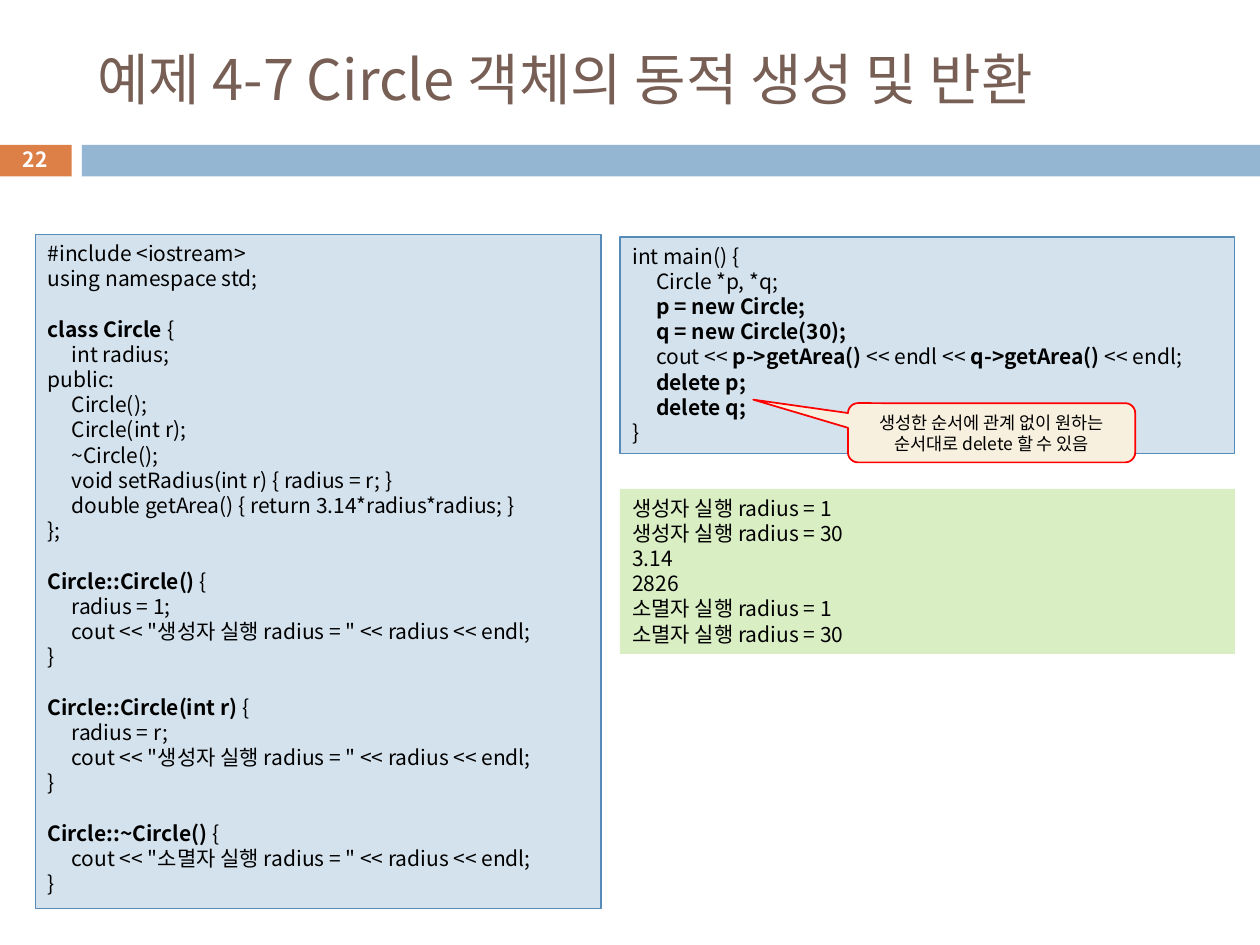
"""Build the slide on creating and deleting Circle objects dynamically."""

from dataclasses import dataclass
from typing import Optional

import lxml.etree
import pptx
import pptx.dml.color
import pptx.enum.shapes
import pptx.enum.text
import pptx.oxml.ns
import pptx.util

RGB = pptx.dml.color.RGBColor
SHAPE = pptx.enum.shapes.MSO_SHAPE
ALIGN = pptx.enum.text.PP_ALIGN
ANCHOR = pptx.enum.text.MSO_ANCHOR

BLACK = RGB(0x00, 0x00, 0x00)
WHITE = RGB(0xFF, 0xFF, 0xFF)
BROWN = RGB(0x77, 0x5F, 0x55)
ORANGE = RGB(0xDD, 0x80, 0x47)
BLUE = RGB(0x94, 0xB6, 0xD2)
PALE_BLUE = RGB(0xD4, 0xE2, 0xED)
EDGE_BLUE = RGB(0x55, 0x8B, 0xB8)
GREEN = RGB(0xDA, 0xEE, 0xC4)
CREAM = RGB(0xF7, 0xF0, 0xDE)
RED = RGB(0xFF, 0x00, 0x00)

FONT = "Noto Sans CJK KR"
CELL = pptx.util.Inches(0.1)
COLS, ROWS = 100, 75
RIGHT_COL, RIGHT_WIDTH = 49.2, 48.8
TAB = pptx.util.Inches(0.19)
LEADING = 1.2

CLASS_CODE = """#include <iostream>
using namespace std;

**class Circle **{
\tint radius;
public:
\tCircle();
\tCircle(int r);
\t~Circle();
\tvoid setRadius(int r) { radius = r; }
\tdouble getArea() { return 3.14*radius*radius; }
};

**Circle::Circle() **{
\tradius = 1;
\tcout << "생성자 실행 radius = " << radius << endl;
}

**Circle::Circle(int r) **{
\tradius = r;
\tcout << "생성자 실행 radius = " << radius << endl;
}

**Circle::~Circle() **{
\tcout << "소멸자 실행 radius = " << radius << endl;
}"""

MAIN_CODE = """int main() {
\tCircle *p, *q;
\t**p = new Circle;**
\t**q = new Circle(30);**
\tcout << **p->getArea() **<< endl << **q->getArea() **<< endl;
\t**delete p;**
\t**delete q;**
}"""

OUTPUT = """생성자 실행 radius = 1
생성자 실행 radius = 30
3.14
2826
소멸자 실행 radius = 1
소멸자 실행 radius = 30"""


@dataclass(frozen=True)
class Box:
    """Place of an object in grid columns and rows."""

    col: float
    row: float
    width: float
    height: float

    def emu(self) -> tuple:
        """Return left, top, width and height as lengths."""
        return tuple(int(v * CELL) for v in (self.col, self.row, self.width, self.height))


@dataclass(frozen=True)
class Panel:
    """Filled shape, with an optional outline and text."""

    box: Box
    fill: RGB
    text: str = ""
    line: Optional[RGB] = None
    line_width: float = 0.75
    kind: int = SHAPE.RECTANGLE
    adjustments: tuple = ()
    size: float = 12
    align: int = ALIGN.LEFT
    anchor: int = ANCHOR.TOP


PANELS = (
    Panel(Box(0, 11.5, 5.7, 2.5), ORANGE),
    Panel(Box(6.5, 11.5, 93.5, 2.5), BLUE),
    Panel(Box(2.8, 18.6, 44.9, 53.5), PALE_BLUE, CLASS_CODE, EDGE_BLUE),
    Panel(Box(RIGHT_COL, 18.8, RIGHT_WIDTH, 17.2), PALE_BLUE, MAIN_CODE, EDGE_BLUE),
    Panel(Box(RIGHT_COL, 38.8, RIGHT_WIDTH, 13.1), GREEN, OUTPUT),
    Panel(Box(67.3, 32, 22.8, 4.7), CREAM,
          "생성한 순서에 관계 없이 원하는 순서대로 delete 할 수 있음",
          RED, 1, SHAPE.ROUNDED_RECTANGULAR_CALLOUT, (-0.83, -0.56, 0.17),
          10, ALIGN.CENTER, ANCHOR.MIDDLE),
)


def add_tab_stop(p) -> None:
    """Give a paragraph the tab stop of the code indent."""
    tabs = lxml.etree.SubElement(p._p.get_or_add_pPr(), pptx.oxml.ns.qn("a:tabLst"))
    lxml.etree.SubElement(tabs, pptx.oxml.ns.qn("a:tab"), pos=str(TAB), algn="l")


def write(sp, text: str, *, size: float, color: RGB = BLACK, bold: bool = False,
          align: int = ALIGN.LEFT, anchor: int = ANCHOR.TOP,
          leading: Optional[float] = None) -> None:
    """Fill a shape with lines; ** toggles bold, an empty line becomes a gap."""
    tf = sp.text_frame
    tf.word_wrap = True
    tf.auto_size = pptx.enum.text.MSO_AUTO_SIZE.NONE
    tf.vertical_anchor = anchor
    p = None
    for block in text.split("\n\n"):
        for i, line in enumerate(block.split("\n")):
            gap = p is not None and i == 0
            p = tf.paragraphs[0] if p is None else tf.add_paragraph()
            p.alignment = align
            if leading:
                p.line_spacing = pptx.util.Pt(size * leading)
            if gap:
                p.space_before = pptx.util.Pt(size * LEADING)
            if line.startswith("\t"):
                add_tab_stop(p)
            for n, part in enumerate(line.split("**")):
                if part:
                    r = p.add_run()
                    r.text = part
                    r.font.name = FONT
                    r.font.size = pptx.util.Pt(size)
                    r.font.bold = bold or n % 2 == 1
                    r.font.color.rgb = color
                    lxml.etree.SubElement(r._r.get_or_add_rPr(),
                                          pptx.oxml.ns.qn("a:ea"), typeface=FONT)


def add_panel(slide, panel: Panel) -> None:
    """Draw a panel and its text."""
    sp = slide.shapes.add_shape(panel.kind, *panel.box.emu())
    sp.shadow.inherit = False
    for i, value in enumerate(panel.adjustments):
        sp.adjustments[i] = value
    sp.fill.solid()
    sp.fill.fore_color.rgb = panel.fill
    if panel.line is None:
        sp.line.fill.background()
    else:
        sp.line.color.rgb = panel.line
        sp.line.width = pptx.util.Pt(panel.line_width)
    if panel.text:
        write(sp, panel.text, size=panel.size, align=panel.align,
              anchor=panel.anchor, leading=LEADING)


def main() -> None:
    """Build and save the slide."""
    prs = pptx.Presentation()
    prs.slide_width, prs.slide_height = COLS * CELL, ROWS * CELL
    slide = prs.slides.add_slide(prs.slide_layouts[5])

    title = slide.shapes.title
    title.left, title.top, title.width, title.height = Box(6.7, 2.5, 89.2, 7.4).emu()
    write(title, "예제 4-7 Circle 객체의 동적 생성 및 반환", size=32, color=BROWN,
          anchor=ANCHOR.MIDDLE)

    for panel in PANELS:
        add_panel(slide, panel)

    number = slide.shapes.add_textbox(*Box(0, 11.3, 5.6, 2.7).emu())
    write(number, "22", size=12, color=WHITE, bold=True, align=ALIGN.CENTER,
          anchor=ANCHOR.MIDDLE)
    prs.save("out.pptx")


if __name__ == "__main__":
    main()
